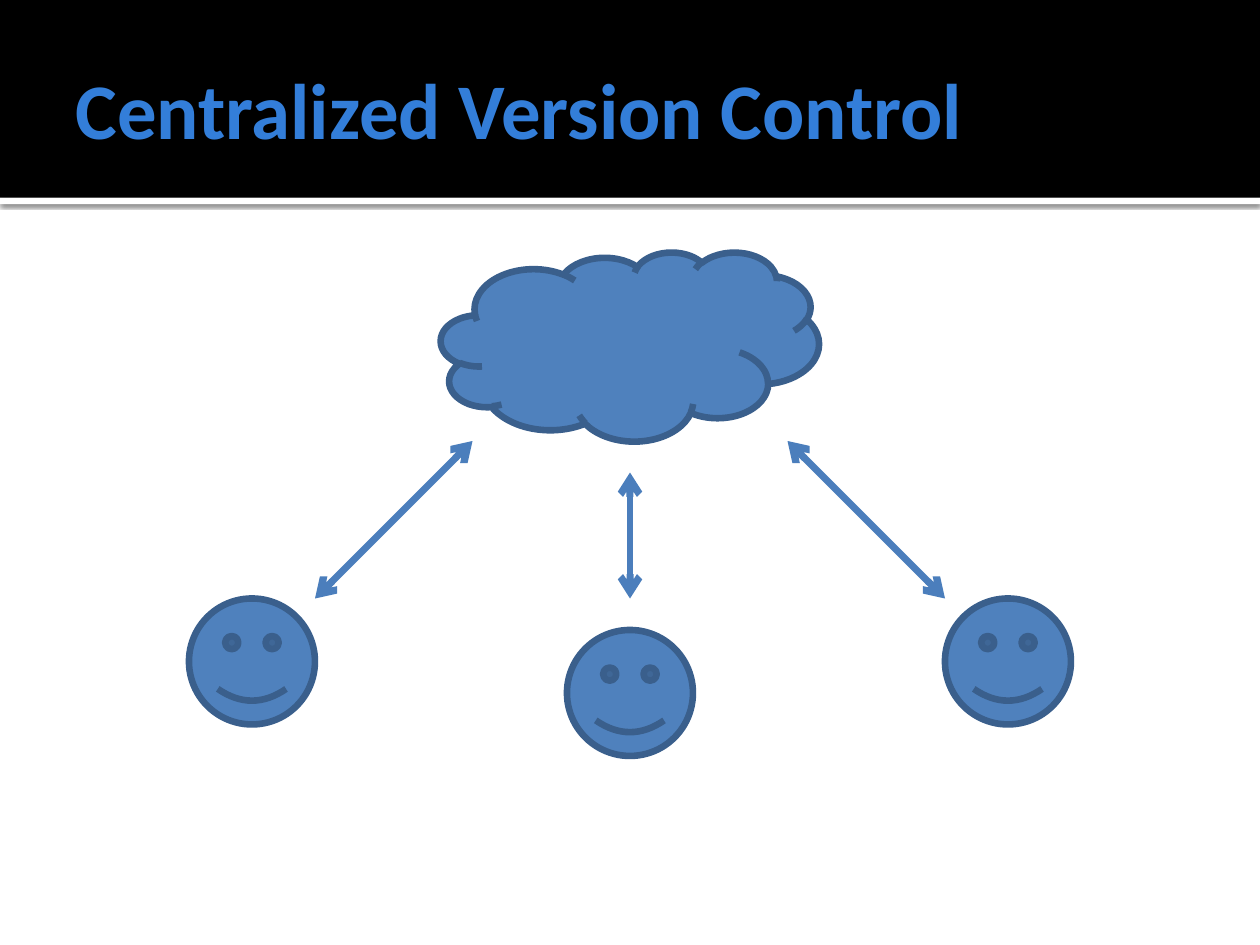
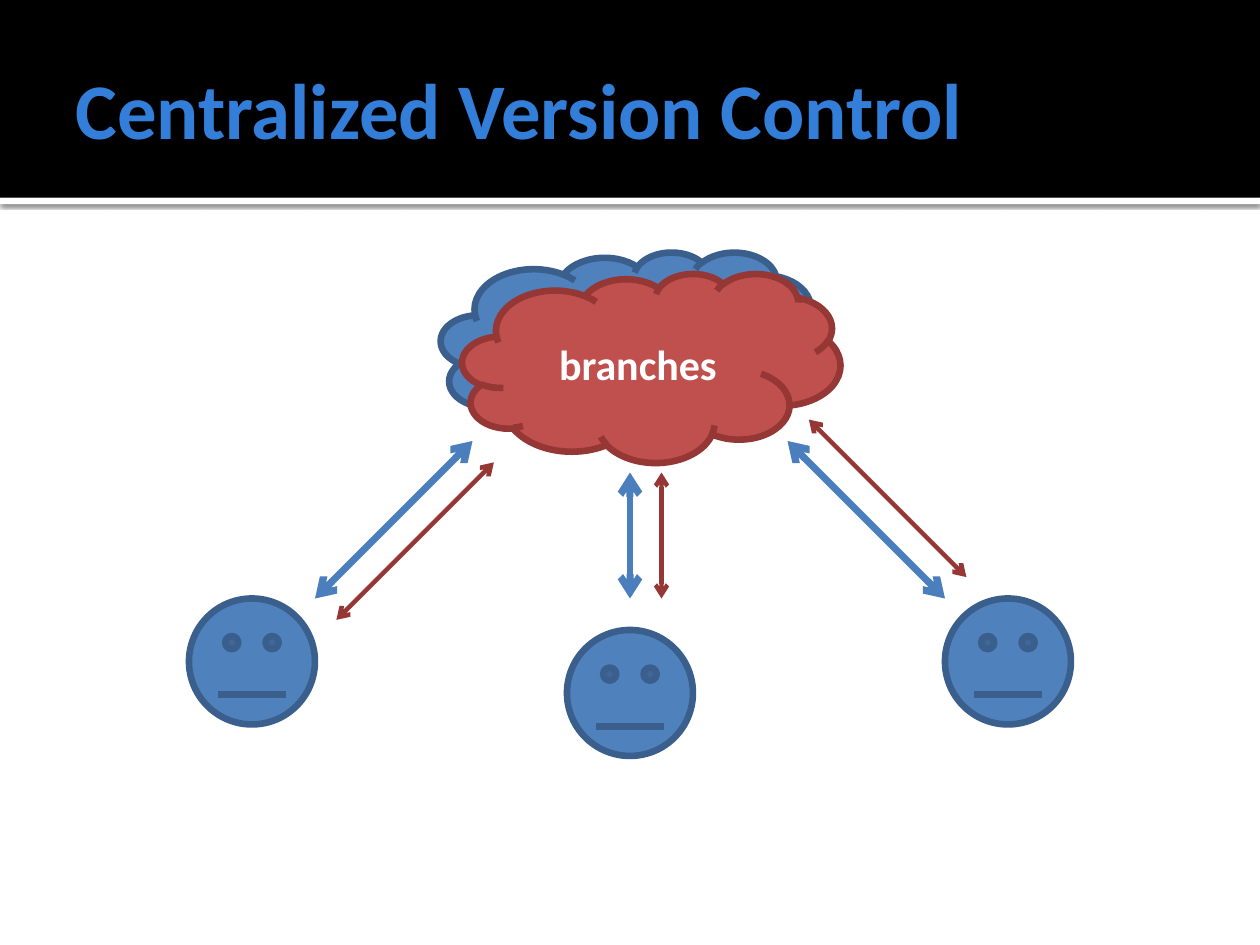
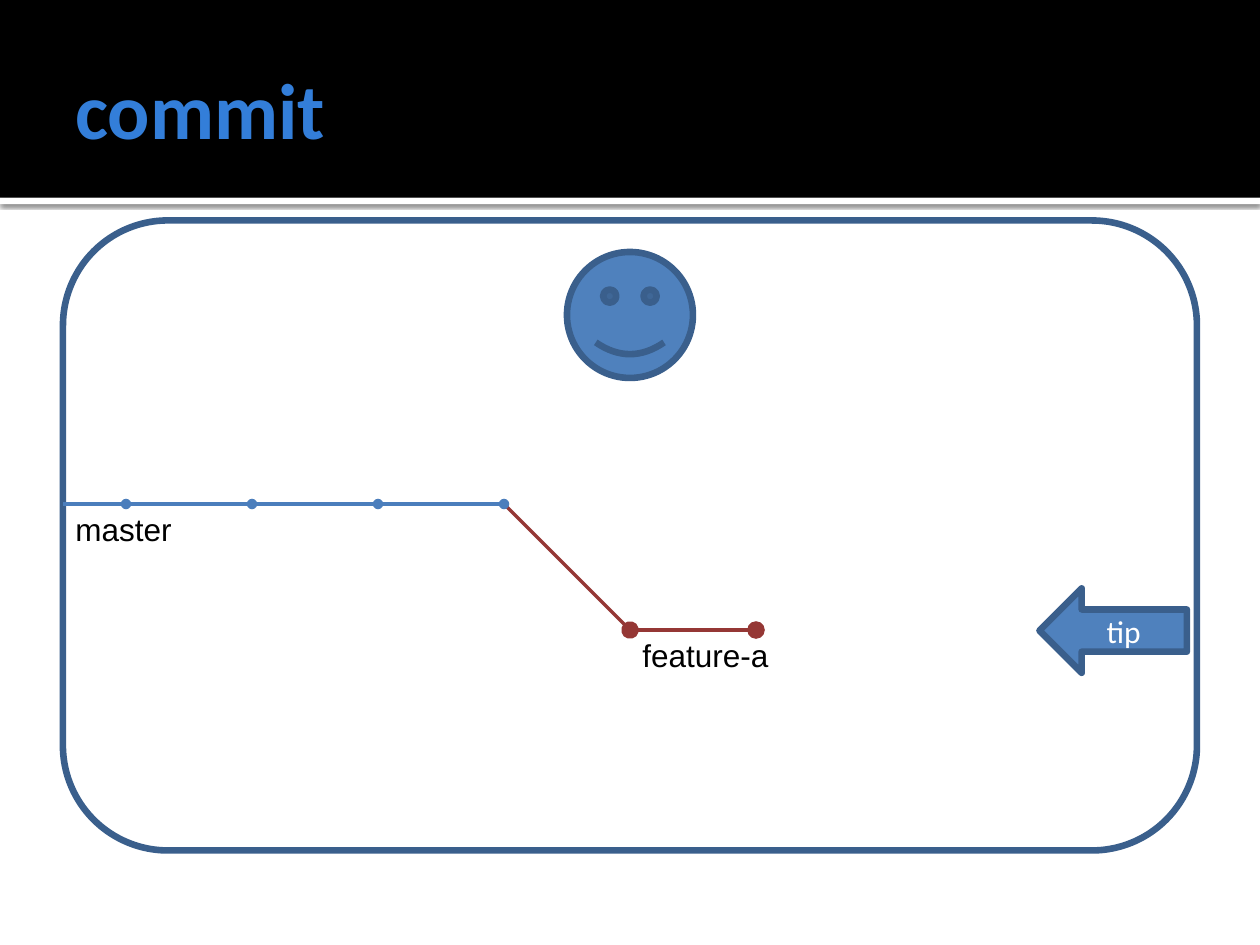
from lxml import etree
from pptx import Presentation
from pptx.dml.color import RGBColor
from pptx.enum.shapes import MSO_CONNECTOR, MSO_SHAPE
from pptx.enum.text import MSO_ANCHOR, MSO_AUTO_SIZE, PP_ALIGN
from pptx.oxml.ns import qn
from pptx.util import Inches, Pt

RECT, ROUND = MSO_SHAPE.RECTANGLE, MSO_SHAPE.ROUNDED_RECTANGLE
CLOUD, FACE, ARROW = MSO_SHAPE.CLOUD, MSO_SHAPE.SMILEY_FACE, MSO_SHAPE.LEFT_ARROW
STRAIGHT = MSO_CONNECTOR.STRAIGHT
MIDDLE, TOP = MSO_ANCHOR.MIDDLE, MSO_ANCHOR.TOP
LEFT, CENTER = PP_ALIGN.LEFT, PP_ALIGN.CENTER
GROW = MSO_AUTO_SIZE.SHAPE_TO_FIT_TEXT

BLACK = RGBColor(0x00, 0x00, 0x00)
WHITE = RGBColor(0xFF, 0xFF, 0xFF)
TITLE = RGBColor(0x33, 0x7E, 0xD9)
BLUE = RGBColor(0x4F, 0x81, 0xBD)
NAVY = RGBColor(0x3A, 0x5F, 0x8C)
LINK = RGBColor(0x4B, 0x7E, 0xBC)
RED = RGBColor(0xC0, 0x50, 0x4D)
DARK = RGBColor(0x95, 0x37, 0x35)

HEAD_FONT = {"name": "Calibri", "size": Pt(45), "bold": True}
CLOUD_FONT = {"name": "Calibri", "size": Pt(24), "bold": True}
TIP_FONT = {"name": "Calibri", "size": Pt(18), "bold": False}
LABEL_FONT = {"name": "Arial", "size": Pt(18), "bold": False}
HEAD_FRAME = {"word_wrap": True, "vertical_anchor": MIDDLE, "margin_left": Inches(0.1),
              "margin_right": Inches(0.05)}
SHAPE_FRAME = {"word_wrap": True, "vertical_anchor": MIDDLE}
LABEL_FRAME = {"word_wrap": True, "vertical_anchor": TOP, "auto_size": GROW}

EDGE = 3.78
USERS = [(1.5, 4.75), (4.5, 5), (7.5, 4.75)]
LINKS = [((2.5, 4.75), (3.75, 3.5)), ((7.5, 4.75), (6.25, 3.5)), ((5, 4.75), (5, 3.75))]
SHIFTS = [(0.17, 0.17), (0.17, -0.17), (0.25, 0)]


def assign(target, values):
    """Set each named value as an attribute of the target."""
    for key, value in values.items():
        setattr(target, key, value)


def write(shape, text, font, color, frame, align=LEFT):
    """Write one formatted paragraph into a shape."""
    assign(shape.text_frame, frame)
    para = shape.text_frame.paragraphs[0]
    para.alignment = align
    run = para.add_run()
    run.text = text
    assign(run.font, font)
    run.font.color.rgb = color


def add_text(slide, box, text, font, color, frame):
    """Add a text box."""
    shape = slide.shapes.add_textbox(*map(Inches, box))
    write(shape, text, font, color, frame)


def add_shape(slide, kind, box, fill=None, edge=None):
    """Add a preset shape, hollow or borderless where no colour is given."""
    shape = slide.shapes.add_shape(kind, *map(Inches, box))
    shape.shadow.inherit = False
    if fill is None:
        shape.fill.background()
    else:
        shape.fill.solid()
        shape.fill.fore_color.rgb = fill
    if edge is None:
        shape.line.fill.background()
    else:
        shape.line.color.rgb = edge
        shape.line.width = Pt(EDGE)
    return shape


def add_shade(shape):
    """Cast a soft shadow below a shape."""
    effects = shape._element.spPr.find(qn("a:effectLst"))
    shade = etree.SubElement(effects, qn("a:outerShdw"), blurRad=str(Pt(2.5)),
                             dist=str(Pt(0.8)), dir="5400000", algn="tl", rotWithShape="0")
    color = etree.SubElement(shade, qn("a:srgbClr"), val=str(BLACK))
    etree.SubElement(color, qn("a:alpha"), val="60000")


def add_line(slide, start, end, color, width, head=None, tail=None, size="med"):
    """Add a straight line with optional end marks."""
    line = slide.shapes.add_connector(STRAIGHT, *map(Inches, (*start, *end)))
    line.line.color.rgb = color
    line.line.width = Pt(width)
    stroke = line.line._get_or_add_ln()
    for tag, mark in (("a:headEnd", head), ("a:tailEnd", tail)):
        if mark:
            etree.SubElement(stroke, qn(tag), type=mark, w=size, len=size)
    etree.SubElement(line._element.spPr, qn("a:effectLst"))


def add_face(slide, left, top, smile=True):
    """Add a user's face, smiling or with a straight mouth."""
    face = add_shape(slide, FACE, (left, top, 1, 1), BLUE, NAVY)
    if not smile:
        face.adjustments[0] = 0


def add_slide(deck, title):
    """Add a blank slide with the title band."""
    slide = deck.slides.add_slide(deck.slide_layouts[6])
    add_shade(add_shape(slide, RECT, (0, 1.57, 10, 0.05), WHITE))
    add_shape(slide, RECT, (0, 0, 10, 1.57), BLACK)
    add_text(slide, (0.5, 0.17, 9, 1.37), title, HEAD_FONT, TITLE, HEAD_FRAME)
    return slide


def add_central(deck, smile):
    """Add a slide with three users linked to one cloud."""
    slide = add_slide(deck, "Centralized Version Control")
    add_shape(slide, CLOUD, (3.5, 2, 3, 1.5), BLUE, NAVY)
    for left, top in USERS:
        add_face(slide, left, top, smile)
    for start, end in LINKS:
        add_line(slide, start, end, LINK, 4, "arrow", "arrow")
    return slide


def add_branches(slide):
    """Add the second cloud and its shifted links."""
    cloud = add_shape(slide, CLOUD, (3.67, 2.17, 3, 1.5), RED, DARK)
    write(cloud, "branches", CLOUD_FONT, WHITE, SHAPE_FRAME, CENTER)
    for ends, (across, down) in zip(LINKS, SHIFTS):
        start, end = [(x + across, y + down) for x, y in ends]
        add_line(slide, start, end, DARK, 2.5, "arrow", "arrow")


def add_commit(deck):
    """Add the slide with a feature branch leaving master."""
    slide = add_slide(deck, "commit")
    add_face(slide, 4.5, 2)
    add_shape(slide, ROUND, (0.5, 1.75, 9, 5), edge=NAVY)
    add_line(slide, (4, 4), (5, 5), DARK, 2, tail="oval", size="lg")
    add_line(slide, (0.5, 4), (1, 4), LINK, 2)
    for x in range(1, 4):
        add_line(slide, (x, 4), (x + 1, 4), LINK, 2, "oval", "oval" if x == 3 else None)
    add_line(slide, (5, 5), (6, 5), DARK, 2, tail="oval", size="lg")
    add_text(slide, (0.5, 4, 1.17, 0.4), "master", LABEL_FONT, BLACK, LABEL_FRAME)
    add_text(slide, (5, 5, 1.33, 0.4), "feature-a", LABEL_FONT, BLACK, LABEL_FRAME)
    tip = add_shape(slide, ARROW, (8.25, 4.67, 1.17, 0.67), BLUE, NAVY)
    write(tip, "tip", TIP_FONT, WHITE, SHAPE_FRAME, CENTER)


def main():
    """Build and save the deck."""
    deck = Presentation()
    deck.slide_width, deck.slide_height = Inches(10), Inches(7.5)
    add_central(deck, smile=True)
    add_branches(add_central(deck, smile=False))
    add_commit(deck)
    deck.save("out.pptx")


if __name__ == "__main__":
    main()
